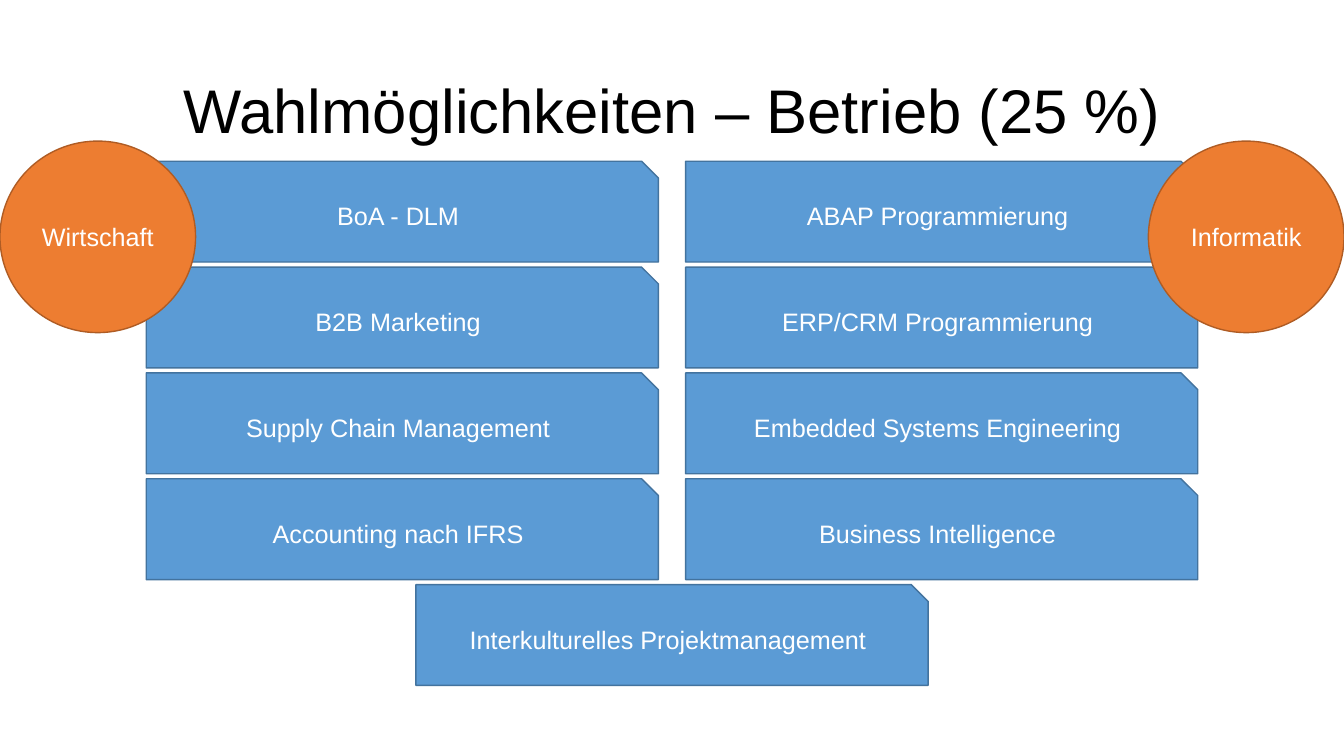
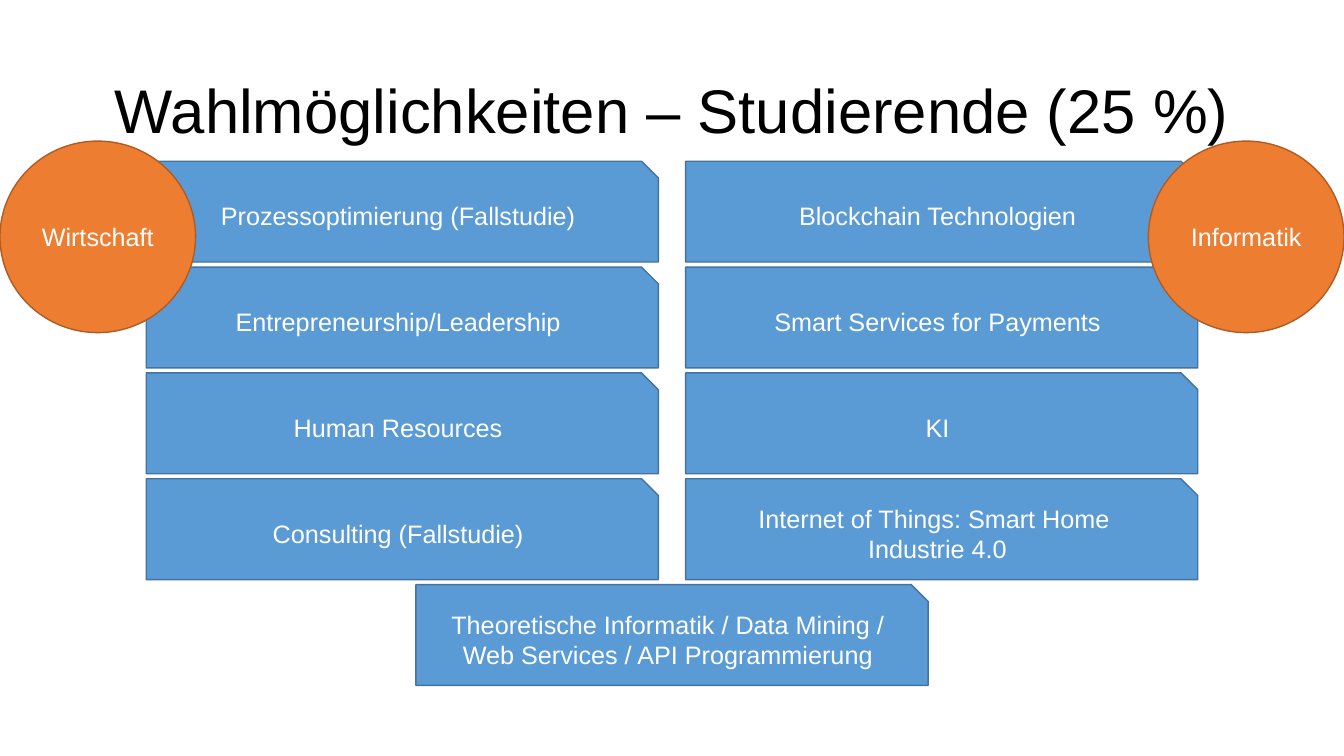
from pptx import Presentation
from pptx.dml.color import RGBColor
from pptx.enum.shapes import MSO_SHAPE
from pptx.enum.text import MSO_ANCHOR, PP_ALIGN
from pptx.util import Inches, Pt

SLIDES = [
    {
        "title": "Wahlmöglichkeiten – Betrieb (25 %)",
        "Wirtschaft": ["BoA - DLM", "B2B Marketing", "Supply Chain Management",
                       "Accounting nach IFRS"],
        "Informatik": ["ABAP Programmierung", "ERP/CRM Programmierung",
                       "Embedded Systems Engineering", "Business Intelligence"],
        "shared": "Interkulturelles Projektmanagement",
    },
    {
        "title": "Wahlmöglichkeiten – Studierende (25 %)",
        "Wirtschaft": ["Prozessoptimierung (Fallstudie)", "Entrepreneurship/Leadership",
                       "Human Resources", "Consulting (Fallstudie)"],
        "Informatik": ["Blockchain Technologien", "Smart Services for Payments", "KI",
                       "Internet of Things: Smart Home \nIndustrie 4.0"],
        "shared": "Theoretische Informatik / Data Mining / Web Services / API Programmierung",
    },
]

FONT = "Arial"
BLACK, WHITE = "000000", "FFFFFF"
COURSE_STYLE = (MSO_SHAPE.SNIP_1_RECTANGLE, "5B9BD5", "43739E")
FIELD_STYLE = (MSO_SHAPE.OVAL, "ED7D31", "AF5C24")

SLIDE_W, SLIDE_H = 13.33, 7.5
COURSE_W, COURSE_H = 5.08, 1
COURSE_TOP, COURSE_STEP = 1.6, 1.05
SHARED_TOP = 5.8
FIELD_W, FIELD_H, FIELD_TOP = 1.94, 1.9, 1.4
COLUMN_MARGIN = 1.45
# Each field: left edge of its course column, left edge of its circle
FIELDS = {
    "Wirtschaft": (COLUMN_MARGIN, 0),
    "Informatik": (SLIDE_W - COLUMN_MARGIN - COURSE_W, SLIDE_W - FIELD_W),
}


def color(hex_value):
    return RGBColor.from_string(hex_value)


def write(frame, text, size, hex_value):
    """Write one centred paragraph; a newline becomes a line break."""
    frame.word_wrap = True
    frame.vertical_anchor = MSO_ANCHOR.MIDDLE
    paragraph = frame.paragraphs[0]
    paragraph.text = text
    paragraph.alignment = PP_ALIGN.CENTER
    for run in paragraph.runs:
        run.font.name = FONT
        run.font.size = Pt(size)
        run.font.color.rgb = color(hex_value)
    return paragraph


def add_title(slide, text):
    title = slide.shapes.add_textbox(Inches(0.92), Inches(0.4), Inches(11.5), Inches(1.45))
    write(title.text_frame, text, 44, BLACK).line_spacing = 0.9


def add_label(slide, text, style, left, top, width, height):
    preset, fill, line = style
    label = slide.shapes.add_shape(preset, Inches(left), Inches(top),
                                   Inches(width), Inches(height))
    label.shadow.inherit = False
    label.fill.solid()
    label.fill.fore_color.rgb = color(fill)
    label.line.color.rgb = color(line)
    label.line.width = Pt(1)
    write(label.text_frame, text, 18, WHITE)


def add_course(slide, text, left, top):
    add_label(slide, text, COURSE_STYLE, left, top, COURSE_W, COURSE_H)


def build_slide(prs, content):
    slide = prs.slides.add_slide(prs.slide_layouts[6])
    for field, (column_left, _) in FIELDS.items():
        for row, course in enumerate(content[field]):
            add_course(slide, course, column_left, COURSE_TOP + row * COURSE_STEP)
    add_title(slide, content["title"])
    for field, (_, circle_left) in FIELDS.items():
        add_label(slide, field, FIELD_STYLE, circle_left, FIELD_TOP, FIELD_W, FIELD_H)
    add_course(slide, content["shared"], (SLIDE_W - COURSE_W) / 2, SHARED_TOP)


def main():
    prs = Presentation()
    prs.slide_width, prs.slide_height = Inches(SLIDE_W), Inches(SLIDE_H)
    for content in SLIDES:
        build_slide(prs, content)
    prs.save("out.pptx")


if __name__ == "__main__":
    main()
